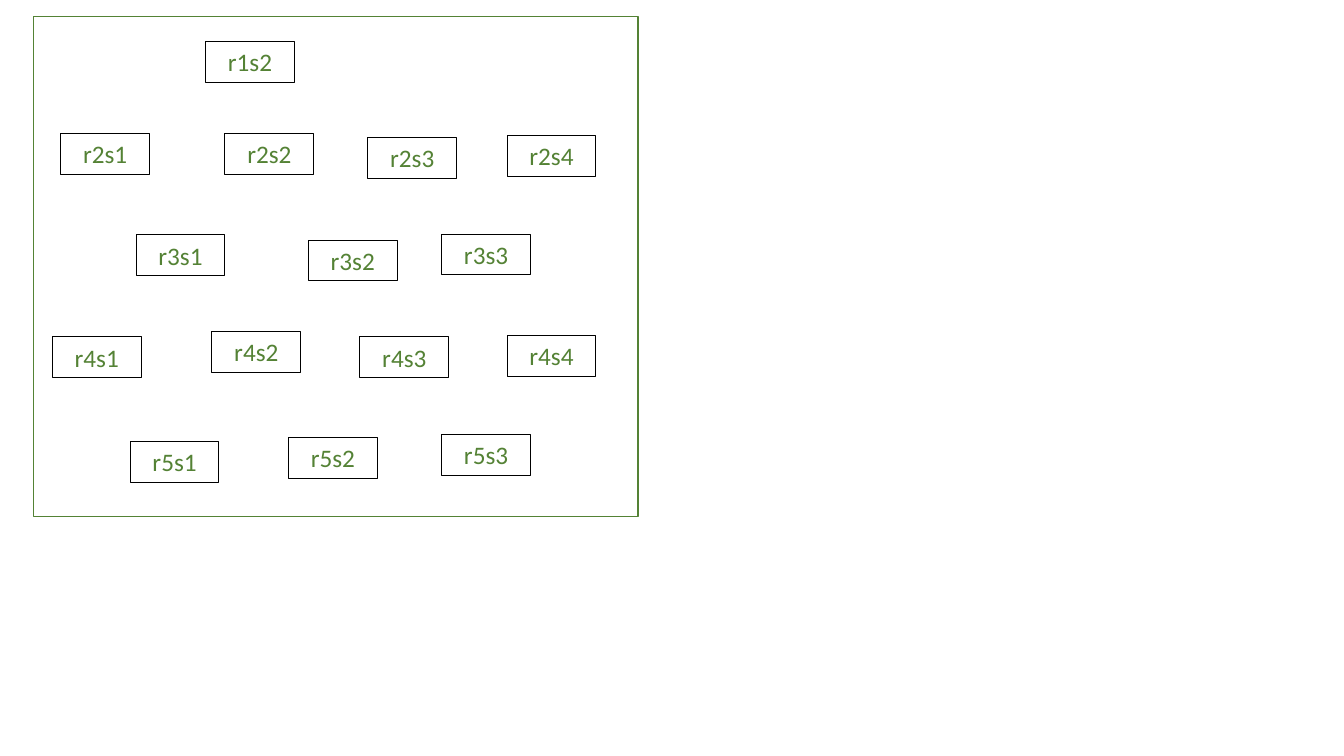
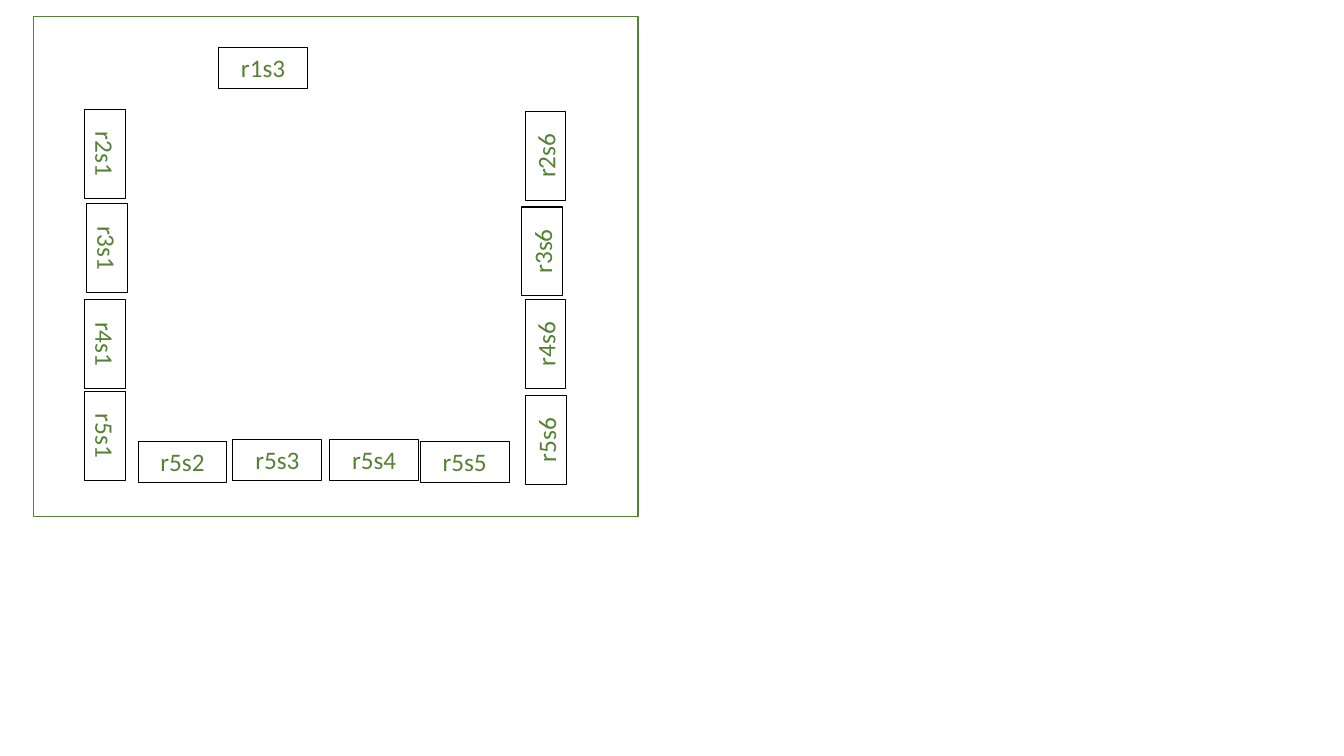
from dataclasses import dataclass

from pptx import Presentation
from pptx import util as u
from pptx.dml.color import RGBColor
from pptx.enum import shapes, text


@dataclass(frozen=True)
class Theme:
    """Colours, type and line sizes shared by the slides."""
    green: RGBColor = RGBColor(0x54, 0x82, 0x35)
    black: RGBColor = RGBColor(0, 0, 0)
    font: str = "Calibri"
    size: u.Pt = u.Pt(18)
    seat_line: u.Pt = u.Pt(0.75)
    room_line: u.Pt = u.Pt(1)


THEME = Theme()
ROOM = (0.84, 0.41, 15.24, 12.6)
SEAT = (2.24, 1.03)

ROWS_PLAN = {
    0: {
        "r1s2": (4.34, 0.64),
        "r2s1": (0.69, 2.95), "r2s2": (4.83, 2.95),
        "r2s3": (8.43, 3.05), "r2s4": (11.94, 3),
        "r3s1": (2.59, 5.51), "r3s2": (6.93, 5.64), "r3s3": (10.29, 5.49),
        "r4s1": (0.48, 8.08), "r4s2": (4.5, 7.95),
        "r4s3": (8.23, 8.08), "r4s4": (11.94, 8.05),
        "r5s1": (2.44, 10.72), "r5s2": (6.43, 10.62), "r5s3": (10.29, 10.54),
    },
}

HORSESHOE_PLAN = {
    0: {
        "r1s3": (4.67, 0.79),
        "r5s2": (2.64, 10.72), "r5s3": (5.03, 10.67),
        "r5s4": (7.47, 10.67), "r5s5": (9.75, 10.72),
    },
    90: {
        "r2s1": (0.69, 2.95), "r3s1": (0.74, 5.33),
        "r4s1": (0.69, 7.75), "r5s1": (0.69, 10.06),
    },
    270: {
        "r2s6": (11.79, 3), "r3s6": (11.71, 5.41),
        "r4s6": (11.79, 7.75), "r5s6": (11.81, 10.16),
    },
}


def add_outline(s, box, color, width):
    """Add an unfilled rectangle with a plain outline."""
    sp = s.shapes.add_shape(shapes.MSO_SHAPE.RECTANGLE, *map(u.Cm, box))
    sp.shadow.inherit = False
    sp.fill.background()
    sp.line.color.rgb = color
    sp.line.width = width
    return sp


def add_seat(s, label, box, rotation):
    """Add one labelled seat, turned by the given angle."""
    sp = add_outline(s, box, THEME.black, THEME.seat_line)
    sp.rotation = rotation
    tf = sp.text_frame
    tf.text = label
    tf.word_wrap = True
    tf.auto_size = text.MSO_AUTO_SIZE.SHAPE_TO_FIT_TEXT
    tf.vertical_anchor = text.MSO_ANCHOR.TOP
    p = tf.paragraphs[0]
    p.alignment = text.PP_ALIGN.CENTER
    font = p.runs[0].font
    font.name, font.size = THEME.font, THEME.size
    font.color.rgb = THEME.green


def add_room(s, box, plan):
    """Draw a room and its seats, placed from the room's top left corner."""
    left, top = box[:2]
    for rotation, seats in plan.items():
        for label, (x, y) in seats.items():
            add_seat(s, label, (left + x, top + y, *SEAT), rotation)
    add_outline(s, box, THEME.green, THEME.room_line)


def main():
    """Build one slide for each seating plan."""
    prs = Presentation()
    prs.slide_width, prs.slide_height = u.Cm(33.87), u.Cm(19.05)
    for plan in (ROWS_PLAN, HORSESHOE_PLAN):
        s = prs.slides.add_slide(prs.slide_layouts[6])
        add_room(s, ROOM, plan)
    prs.save("out.pptx")


if __name__ == "__main__":
    main()
